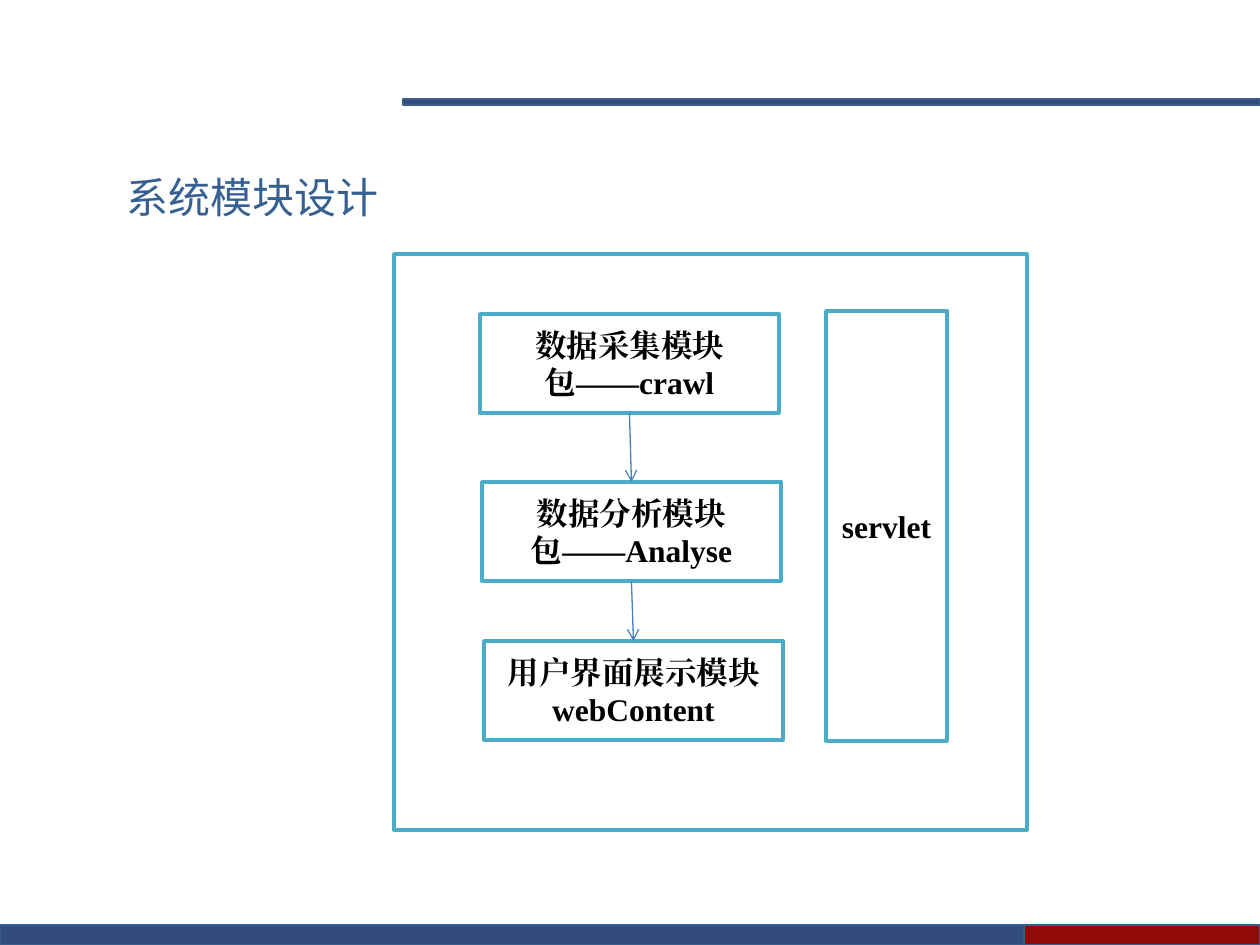
"""Build the system module design slide."""
from lxml import etree
from pptx import Presentation
from pptx.dml.color import RGBColor
from pptx.enum.shapes import MSO_CONNECTOR, MSO_SHAPE
from pptx.enum.text import MSO_ANCHOR, PP_ALIGN
from pptx.oxml.ns import qn
from pptx.util import Emu, Pt

PX = 914400 // 126
RECTANGLE = MSO_SHAPE.RECTANGLE
STRAIGHT = MSO_CONNECTOR.STRAIGHT
MIDDLE = MSO_ANCHOR.MIDDLE
CENTER = PP_ALIGN.CENTER
NAVY = RGBColor(0x00, 0x20, 0x60)
RED = RGBColor(0x92, 0x0B, 0x08)
EDGE = RGBColor(0x38, 0x5D, 0x8A)
TITLE_BLUE = RGBColor(0x37, 0x60, 0x92)
TEAL = RGBColor(0x4B, 0xAC, 0xC6)
ARROW_BLUE = RGBColor(0x4A, 0x7E, 0xBB)
WHITE = RGBColor(0xFF, 0xFF, 0xFF)
BLACK = RGBColor(0x00, 0x00, 0x00)
TITLE_FORMAT = {"size": Pt(24), "name": "Noto Sans CJK SC"}
LABEL_FORMAT = {"size": Pt(18), "name": "Times New Roman", "bold": True}


def add_rectangle(page, bounds, fill, line, width):
    box = page.shapes.add_shape(RECTANGLE, *[Emu(value * PX) for value in bounds])
    box.shadow.inherit = False
    box.fill.solid()
    box.fill.fore_color.rgb = fill
    box.line.color.rgb = line
    box.line.width = Pt(width)
    return box


def write_lines(box, lines, formats, color, alignment=None):
    frame = box.text_frame
    for index, text in enumerate(lines):
        para = frame.paragraphs[0] if index == 0 else frame.add_paragraph()
        para.alignment = alignment
        span = para.add_run()
        span.text = text
        for key, value in formats.items():
            setattr(span.font, key, value)
        span.font.color.rgb = color
        east_asian = etree.SubElement(span.font._element, qn("a:ea"))
        east_asian.set("typeface", formats["name"])


deck = Presentation()
deck.slide_width = Emu(1260 * PX)
deck.slide_height = Emu(945 * PX)
page = deck.slides.add_slide(deck.slide_layouts[6])

bars = [
    ((403, 99, 857, 6), NAVY, 80),
    ((0, 925, 1260, 20), NAVY, 80),
    ((1024, 925, 236, 20), RED, 100),
]
for bounds, color, opacity in bars:
    bar = add_rectangle(page, bounds, color, EDGE, 0)
    if opacity < 100:
        tint = bar._element.spPr.find(qn("a:solidFill"))[0]
        etree.SubElement(tint, qn("a:alpha")).set("val", str(opacity * 1000))

title = page.shapes.add_textbox(*[Emu(value * PX) for value in (114, 165, 280, 63)])
title.text_frame.word_wrap = True
write_lines(title, ["系统模块设计"], TITLE_FORMAT, TITLE_BLUE)

add_rectangle(page, (394, 254, 633, 576), WHITE, TEAL, 2)

labels = [
    ((480, 314, 299, 99), ["数据采集模块", "包——crawl"]),
    ((482, 482, 299, 99), ["数据分析模块", "包——Analyse"]),
    ((484, 641, 299, 99), ["用户界面展示模块", "webContent"]),
    ((826, 311, 121, 430), ["servlet"]),
]
boxes = []
for bounds, lines in labels:
    box = add_rectangle(page, bounds, WHITE, TEAL, 2)
    box.text_frame.vertical_anchor = MIDDLE
    write_lines(box, lines, LABEL_FORMAT, BLACK, CENTER)
    boxes.append(box)

modules = boxes[:3]
for upper, lower in zip(modules, modules[1:]):
    arrow = page.shapes.add_connector(STRAIGHT, 0, 0, 0, 0)
    arrow.begin_connect(upper, 2)
    arrow.end_connect(lower, 0)
    arrow.line.color.rgb = ARROW_BLUE
    arrow.line.width = Pt(0.75)
    etree.SubElement(arrow.line._get_or_add_ln(), qn("a:tailEnd")).set("type", "arrow")
    etree.SubElement(arrow._element.spPr, qn("a:effectLst"))

deck.save("out.pptx")
